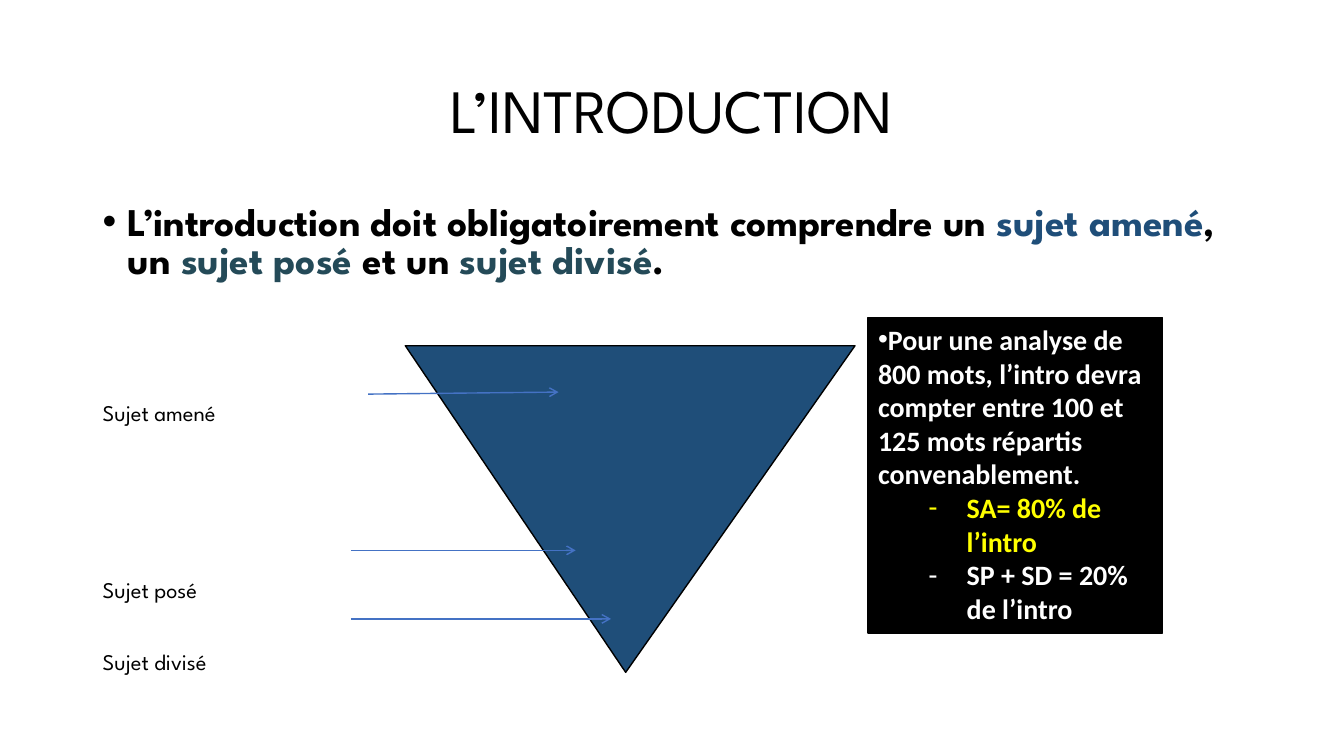
from lxml import etree
from pptx import Presentation
from pptx.dml.color import RGBColor
from pptx.enum import shapes, text
from pptx.oxml import ns
from pptx.util import Inches, Pt

BLACK = RGBColor(0, 0, 0)
WHITE = RGBColor(255, 255, 255)
YELLOW = RGBColor(255, 255, 0)
NAVY = RGBColor(0x1F, 0x4E, 0x79)
TEAL = RGBColor(0x24, 0x4A, 0x58)
BLUE = RGBColor(0x44, 0x72, 0xC4)
HEAD, BODY = "League Spartan", "Calibri"

TITLE = "L’INTRODUCTION"
RULE = [
    ("L’introduction doit obligatoirement comprendre un ", BLACK),
    ("sujet amené", NAVY),
    (", un ", BLACK),
    ("sujet posé ", TEAL),
    ("et un ", BLACK),
    ("sujet divisé", TEAL),
    (".", BLACK),
]
# label, middle of label, arrow start, arrow end
PARTS = [
    ("Sujet amené", 4.09, (3.65, 3.91), (5.54, 3.89)),
    ("Sujet posé", 5.85, (3.48, 5.46), (5.71, 5.46)),
    ("Sujet divisé", 6.56, (3.48, 6.14), (6.06, 6.14)),
]
# text, colour, bullet, margin, indent
NOTES = [
    ("Pour une analyse de 800 mots, l’intro devra compter entre 100 et "
     "125 mots répartis convenablement.", WHITE, "•", 0, 0),
    ("SA= 80% de l’intro", YELLOW, "-", 0.88, -0.38),
    ("SP + SD = 20% de l’intro", WHITE, "-", 0.88, -0.38),
]


def box(left, top, width, height):
    return [Inches(n) for n in (left, top, width, height)]


def bullet(para, char, margin, indent):
    """Set bullet and indents; call before the paragraph font is set."""
    props = para._p.get_or_add_pPr()
    props.set("marL", str(Inches(margin)))
    props.set("indent", str(Inches(indent)))
    font = etree.SubElement(props, ns.qn("a:buFont"))
    font.set("typeface", "Arial")
    etree.SubElement(props, ns.qn("a:buChar")).set("char", char)


def style(para, name, size, color, bold=False):
    font = para.font
    font.name, font.size, font.bold = name, Pt(size), bold
    font.color.rgb = color


def add_text(slide, place):
    frame = slide.shapes.add_textbox(*box(*place)).text_frame
    frame.word_wrap = True
    return frame


def add_solid(slide, kind, place, fill):
    shape = slide.shapes.add_shape(kind, *box(*place))
    shape.shadow.inherit = False
    shape.fill.solid()
    shape.fill.fore_color.rgb = fill
    shape.line.color.rgb = BLACK
    shape.line.width = Pt(1)
    return shape


def add_arrow(slide, start, end):
    ends = [Inches(n) for n in start + end]
    arrow = slide.shapes.add_connector(shapes.MSO_CONNECTOR.STRAIGHT, *ends)
    arrow.line.color.rgb = BLUE
    arrow.line.width = Pt(1)
    tail = etree.SubElement(arrow.line._get_or_add_ln(), ns.qn("a:tailEnd"))
    tail.set("type", "arrow")
    etree.SubElement(arrow._element.spPr, ns.qn("a:effectLst"))


def add_title(slide):
    title = slide.shapes.title
    title.left, title.top, title.width, title.height = box(0.92, 0.4, 11.5, 1.45)
    title.text_frame.text = TITLE
    title.text_frame.vertical_anchor = text.MSO_ANCHOR.MIDDLE
    para = title.text_frame.paragraphs[0]
    para.alignment = text.PP_ALIGN.CENTER
    para.line_spacing = 0.9
    style(para, HEAD, 44, BLACK)


def add_rule(slide):
    para = add_text(slide, (0.92, 2, 11.5, 1)).paragraphs[0]
    para.line_spacing = 0.8
    para.space_before = Pt(10)
    bullet(para, "•", 0.25, -0.25)
    style(para, HEAD, 28, BLACK, True)
    for words, color in RULE:
        run = para.add_run()
        run.text = words
        run.font.color.rgb = color


def add_parts(slide):
    cone = add_solid(slide, shapes.MSO_SHAPE.ISOSCELES_TRIANGLE,
                     (4.02, 3.43, 4.46, 3.24), NAVY)
    cone.rotation = 180
    cone.adjustments[0] = 0.51
    high = 0.4
    for label, mid, start, end in PARTS:
        frame = add_text(slide, (0.92, mid - high / 2, 2.4, high))
        frame.vertical_anchor = text.MSO_ANCHOR.MIDDLE
        frame.text = label
        style(frame.paragraphs[0], HEAD, 16, BLACK)
        add_arrow(slide, start, end)


def add_notes(slide):
    panel = add_solid(slide, shapes.MSO_SHAPE.RECTANGLE,
                      (8.61, 3.15, 2.92, 3.13), BLACK)
    frame = panel.text_frame
    frame.word_wrap = True
    frame.vertical_anchor = text.MSO_ANCHOR.TOP
    frame.text = "\n".join(note[0] for note in NOTES)
    for para, (_, color, char, margin, indent) in zip(frame.paragraphs, NOTES):
        para.alignment = text.PP_ALIGN.LEFT
        bullet(para, char, margin, indent)
        style(para, BODY, 20, color, True)


def main():
    deck = Presentation()
    deck.slide_width, deck.slide_height = Inches(13.33), Inches(7.5)
    slide = deck.slides.add_slide(deck.slide_layouts[5])
    add_title(slide)
    add_rule(slide)
    add_parts(slide)
    add_notes(slide)
    deck.save("out.pptx")


if __name__ == "__main__":
    main()
